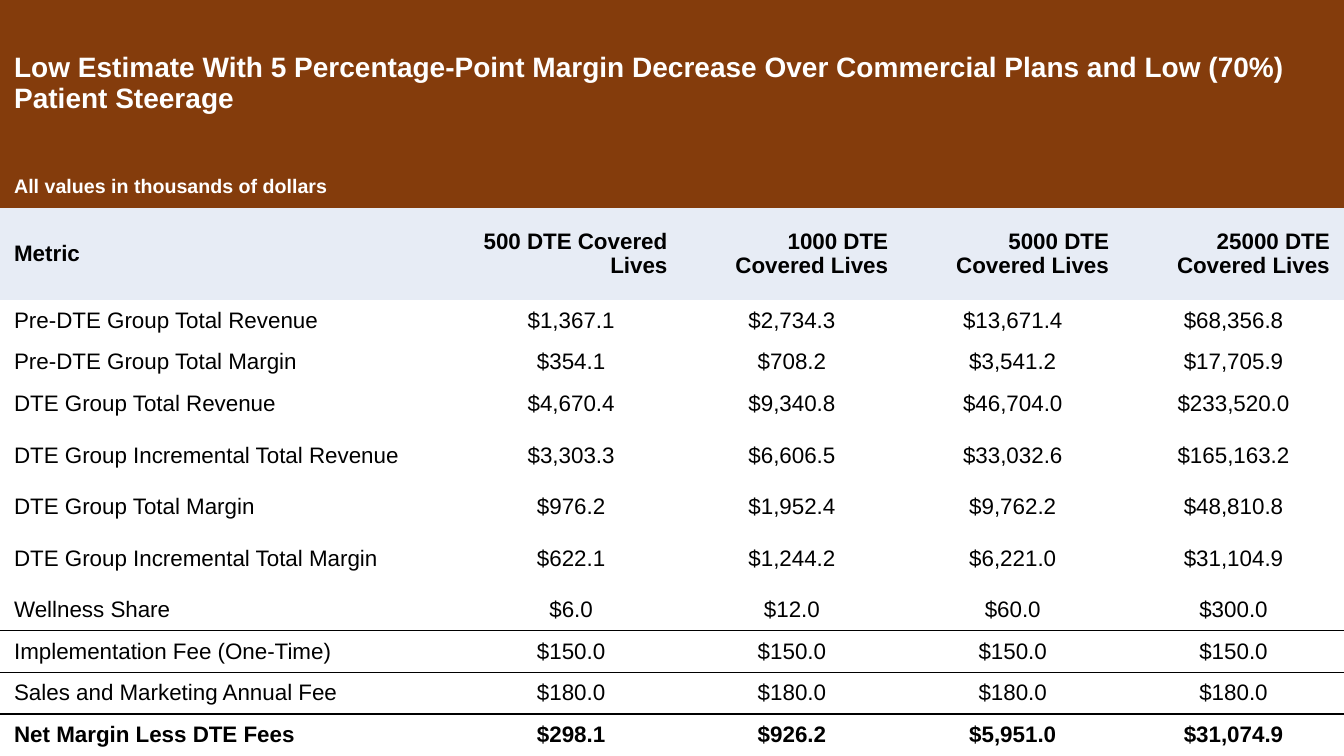
from lxml import etree
from pptx import Presentation
from pptx.dml.color import RGBColor
from pptx.enum import text
from pptx.oxml import ns
from pptx.util import Inches, Pt

TITLE = ("Low Estimate With 5 Percentage-Point Margin Decrease Over "
         "Commercial Plans and Low (70%) Patient Steerage")
UNITS = "All values in thousands of dollars"
HEADER = ("Metric", "500 DTE Covered Lives", "1000 DTE Covered Lives",
          "5000 DTE Covered Lives", "25000 DTE Covered Lives")
METRICS = [
    ("Pre-DTE Group Total Revenue", "$1,367.1", "$2,734.3", "$13,671.4", "$68,356.8"),
    ("Pre-DTE Group Total Margin", "$354.1", "$708.2", "$3,541.2", "$17,705.9"),
    ("DTE Group Total Revenue", "$4,670.4", "$9,340.8", "$46,704.0", "$233,520.0"),
    ("DTE Group Incremental Total Revenue", "$3,303.3", "$6,606.5", "$33,032.6", "$165,163.2"),
    ("DTE Group Total Margin", "$976.2", "$1,952.4", "$9,762.2", "$48,810.8"),
    ("DTE Group Incremental Total Margin", "$622.1", "$1,244.2", "$6,221.0", "$31,104.9"),
    ("Wellness Share", "$6.0", "$12.0", "$60.0", "$300.0"),
    ("Implementation Fee (One-Time)", "$150.0", "$150.0", "$150.0", "$150.0"),
    ("Sales and Marketing Annual Fee", "$180.0", "$180.0", "$180.0", "$180.0"),
    ("Net Margin Less DTE Fees", "$298.1", "$926.2", "$5,951.0", "$31,074.9"),
]
ROWS = [(TITLE,), (UNITS,), HEADER] + METRICS
HEADER_ROW = 2
TOTAL_ROW = len(ROWS) - 1
RULES_BELOW = (9, 11)

BROWN = RGBColor(0x84, 0x3C, 0x0C)
PALE_BLUE = RGBColor(0xE7, 0xEC, 0xF5)
WHITE = RGBColor(0xFF, 0xFF, 0xFF)
BLACK = RGBColor(0, 0, 0)
NO_STYLE = "{2D5ABB26-0587-4C30-8999-92F81FD0307C}"

WIDTH, HEIGHT = 13.33, 7.5
METRIC_WIDTH = 4.57
TALL_ROWS = {0: 1.65, HEADER_ROW: 0.91, 6: 0.61, 8: 0.61}
ROW_HEIGHT = (HEIGHT - sum(TALL_ROWS.values())) / (len(ROWS) - len(TALL_ROWS))
VALUE_WIDTH = (WIDTH - METRIC_WIDTH) / (len(HEADER) - 1)
INDENT = Inches(0.14)


def add_border(properties, tag):
    line = etree.SubElement(properties, ns.qn(tag), w=str(Pt(1)))
    fill = etree.SubElement(line, ns.qn("a:solidFill"))
    etree.SubElement(fill, ns.qn("a:srgbClr"), val=str(BLACK))


def fill_cell(cell, wording, row, column):
    properties = cell._tc.get_or_add_tcPr()
    if row - 1 in RULES_BELOW:
        add_border(properties, "a:lnT")
    if row in RULES_BELOW:
        add_border(properties, "a:lnB")

    if row <= HEADER_ROW:
        cell.fill.solid()
        cell.fill.fore_color.rgb = PALE_BLUE if row == HEADER_ROW else BROWN
    else:
        cell.fill.background()
    cell.margin_left = cell.margin_right = cell.margin_top = cell.margin_bottom = 0
    cell.vertical_anchor = text.MSO_ANCHOR.MIDDLE

    cell.text_frame.text = wording
    paragraph = cell.text_frame.paragraphs[0]
    paragraph_properties = paragraph._p.get_or_add_pPr()
    for side in ("marL", "marR"):
        paragraph_properties.set(side, str(INDENT))
    if column == 0:
        paragraph.alignment = text.PP_ALIGN.LEFT
    elif row == HEADER_ROW:
        paragraph.alignment = text.PP_ALIGN.RIGHT
    else:
        paragraph.alignment = text.PP_ALIGN.CENTER

    font = paragraph.runs[0].font
    font.name = "Arial"
    font.size = Pt({0: 20, 1: 14}.get(row, 16))
    font.bold = row <= HEADER_ROW or row == TOTAL_ROW
    font.color.rgb = WHITE if row < HEADER_ROW else BLACK


def main():
    presentation = Presentation()
    presentation.slide_width = Inches(WIDTH)
    presentation.slide_height = Inches(HEIGHT)
    slide = presentation.slides.add_slide(presentation.slide_layouts[6])
    frame = slide.shapes.add_table(len(ROWS), len(HEADER), 0, 0,
                                   Inches(WIDTH), Inches(HEIGHT))
    table = frame.table
    table.first_row = table.horz_banding = False
    table._tbl.tblPr.find(ns.qn("a:tableStyleId")).text = NO_STYLE

    for index, column in enumerate(table.columns):
        column.width = Inches(VALUE_WIDTH if index else METRIC_WIDTH)
    for index, row in enumerate(table.rows):
        row.height = Inches(TALL_ROWS.get(index, ROW_HEIGHT))
    for row, wordings in enumerate(ROWS):
        if len(wordings) == 1:
            table.cell(row, 0).merge(table.cell(row, len(HEADER) - 1))
        for column, wording in enumerate(wordings):
            fill_cell(table.cell(row, column), wording, row, column)

    presentation.save("out.pptx")


if __name__ == "__main__":
    main()
